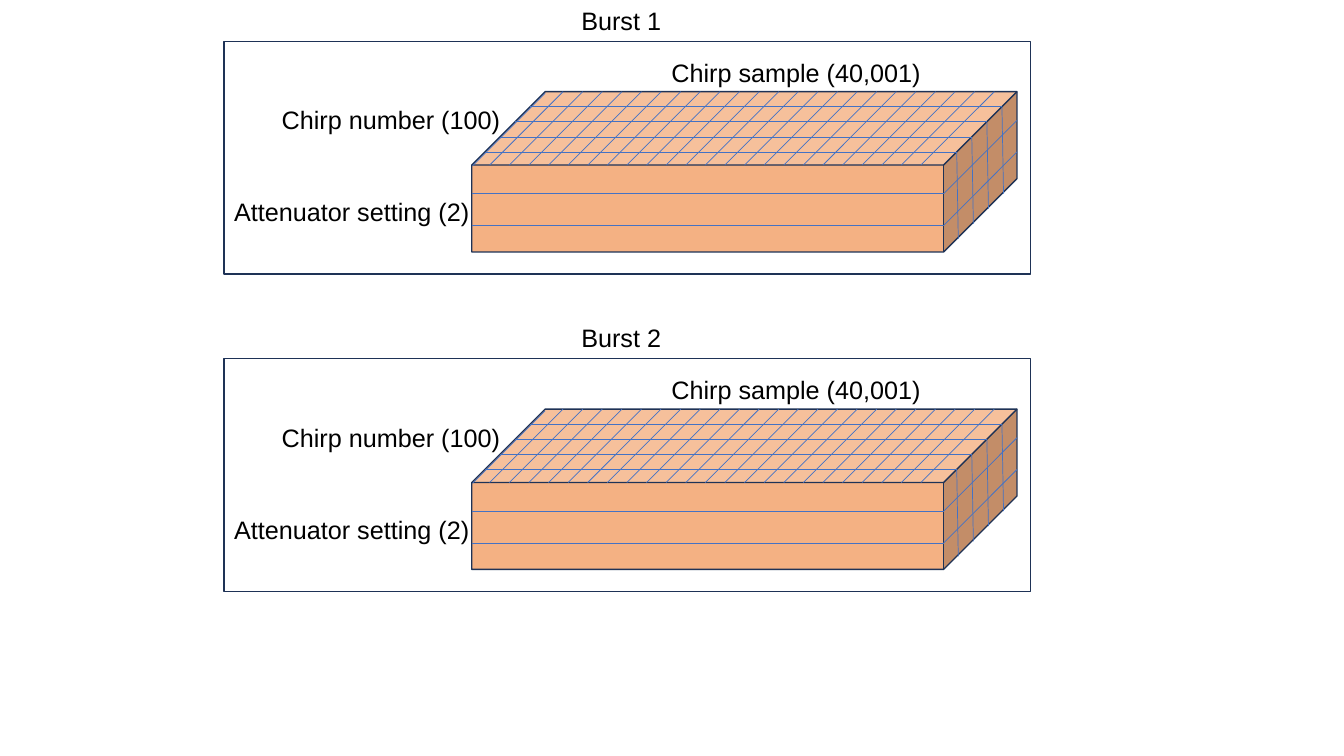
from lxml.etree import SubElement
from pptx import Presentation
from pptx.dml.color import RGBColor
from pptx.enum.shapes import MSO_CONNECTOR, MSO_SHAPE
from pptx.enum.text import MSO_AUTO_SIZE
from pptx.oxml.ns import qn
from pptx.util import Cm, Pt


def color(hex_string):
    return RGBColor.from_string(hex_string)


def grid_line(start_x, start_y, end_x, end_y):
    line = slide.shapes.add_connector(
        MSO_CONNECTOR.STRAIGHT, Cm(start_x), Cm(start_y), Cm(end_x), Cm(end_y))
    line.line.color.rgb = color("4472C4")
    line.line.width = Pt(0.5)
    SubElement(line._element.spPr, qn("a:effectLst"))


deck = Presentation()
deck.slide_width = Cm(33.87)
deck.slide_height = Cm(19.05)
slide = deck.slides.add_slide(deck.slide_layouts[6])

burst_spacing = 8
cube_left, cube_width, cube_height = 11.89, 13.74, 4.04
depth = 1.85
front_width = cube_width - depth
front_height = cube_height - depth
front_right = cube_left + front_width

for burst in range(2):
    offset = burst * burst_spacing
    cube_top = 2.31 + offset
    front_top = cube_top + depth

    cube = slide.shapes.add_shape(
        MSO_SHAPE.CUBE, Cm(cube_left), Cm(cube_top), Cm(cube_width), Cm(cube_height))
    cube.adjustments[0] = depth / cube_height
    cube.fill.solid()
    cube.fill.fore_color.rgb = color("F4B183")

    for row in range(4):
        y = cube_top + 0.38 * (row + 1)
        left = cube_left + front_top - y
        right = left + front_width
        grid_line(left, y, right, y)
        grid_line(right + 0.04, y + front_height, right, y)

    grid_line(cube_left + 0.02, front_top + 0.02, cube_left + depth, cube_top + 0.04)
    for column in range(23):
        x = 12.34 + 0.494 * column
        grid_line(x, front_top, x + depth, cube_top)

    for layer_y in (4.88, 5.68):
        y = layer_y + offset
        grid_line(cube_left, y, front_right, y)
        grid_line(front_right, y, front_right + depth, y - depth)

    frame = slide.shapes.add_shape(
        MSO_SHAPE.RECTANGLE, Cm(5.65), Cm(1.04 + offset), Cm(20.32), Cm(5.87))
    frame.fill.background()

    for outline in (cube, frame):
        outline.shadow.inherit = False
        outline.line.color.rgb = color("1E3256")
        outline.line.width = Pt(1)

    for label, left, top, width in (
        ("Chirp sample (40,001)", 16.67, 1.32, 6.86),
        ("Attenuator setting (2)", 5.65, 4.83, 6.5),
        ("Chirp number (100)", 6.85, 2.51, 6.07),
        (f"Burst {burst + 1}", 14.4, 0, 2.54),
    ):
        box = slide.shapes.add_textbox(Cm(left), Cm(top + offset), Cm(width), Cm(1.02))
        box.text_frame.word_wrap = False
        box.text_frame.auto_size = MSO_AUTO_SIZE.SHAPE_TO_FIT_TEXT
        box.text_frame.text = label
        span = box.text_frame.paragraphs[0].runs[0]
        span.font.name = "Arial"
        span.font.size = Pt(18)
        span.font.color.rgb = color("000000")

deck.save("out.pptx")
